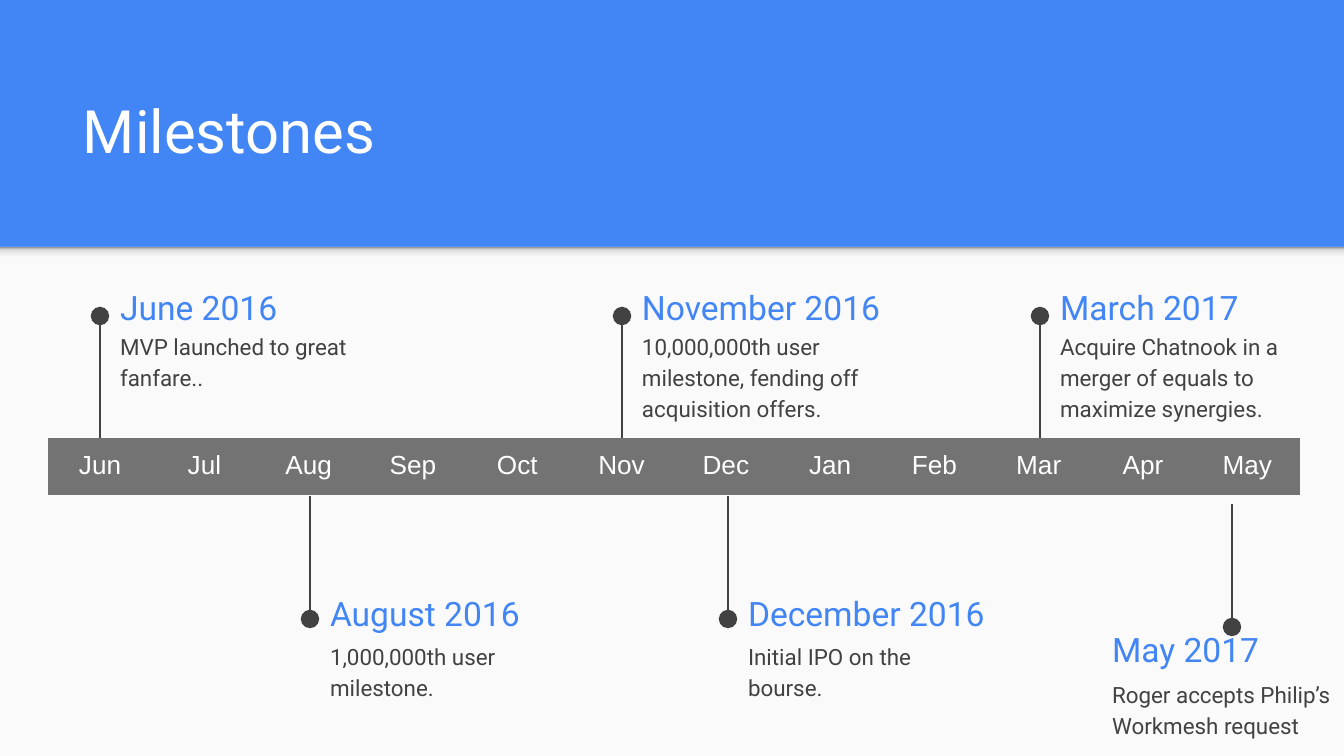
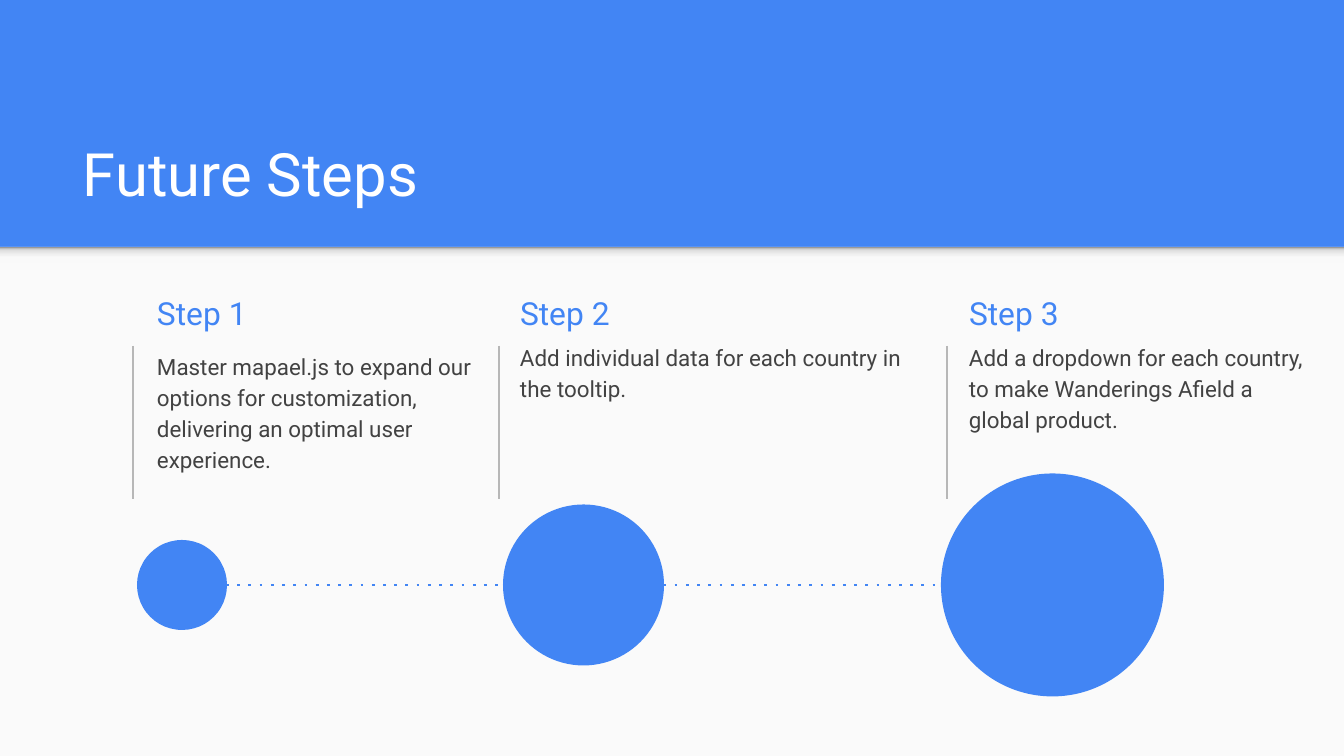
from dataclasses import dataclass

from lxml import etree
from pptx import Presentation
from pptx.dml.color import RGBColor
from pptx.enum.shapes import MSO_CONNECTOR, MSO_SHAPE
from pptx.enum.text import MSO_ANCHOR, PP_ALIGN
from pptx.oxml.ns import qn
from pptx.util import Emu, Pt

RECT, OVAL = MSO_SHAPE.RECTANGLE, MSO_SHAPE.OVAL
STRAIGHT = MSO_CONNECTOR.STRAIGHT
TOP, MIDDLE, BOTTOM = MSO_ANCHOR.TOP, MSO_ANCHOR.MIDDLE, MSO_ANCHOR.BOTTOM
CENTER = PP_ALIGN.CENTER
NO_GRID_STYLE = "{2D5ABB26-0587-4C30-8999-92F81FD0307C}"

SLIDE_W, SLIDE_H = 1344, 756
BAND_H = 247
INSET = 13
BAR_X, BAR_Y, BAR_W, BAR_H = 48, 438, 1252, 57
LABEL_W, HEADING_H, BODY_H = 266, 58, 85


@dataclass(frozen=True)
class Theme:
    blue: str = "4285F4"
    paper: str = "FAFAFA"
    white: str = "FFFFFF"
    ink: str = "424242"
    bar: str = "737373"
    rule: str = "B7B7B7"
    shade: tuple = ((0, "F9F9F9"), (36, "F9F9F9"), (80, "DEDEDE"), (100, "999999"))
    font: str = "Roboto"
    bar_font: str = "Arial"
    title: int = 32
    milestone: int = 18
    step: int = 17
    month: int = 14
    body: int = 12


T = Theme()
MONTHS = "Jun Jul Aug Sep Oct Nov Dec Jan Feb Mar Apr May".split()

# pin x, heading, body
ABOVE = [
    (100, "June 2016", "MVP launched to great fanfare.."),
    (622, "November 2016",
     "10,000,000th user milestone, fending off acquisition offers."),
    (1040, "March 2017",
     "Acquire Chatnook in a merger of equals to maximize synergies."),
]
BELOW = [
    (310, "August 2016", "1,000,000th user milestone."),
    (728, "December 2016", "Initial IPO on the bourse."),
]

# rule x, text x, body y, body width, body, circle x, circle diameter
STEPS = [
    (133, 144, 336, 344,
     "Master mapael.js to expand our options for customization, "
     "delivering an optimal user experience.", 137, 90),
    (499, 507, 327, 418,
     "Add individual data for each country in the tooltip.", 503, 161),
    (947, 956, 327, 367,
     "Add a dropdown for each country, to make Wanderings Afield "
     "a global product.", 941, 223),
]
CIRCLE_MID = 585


def px(n):
    return Emu(round(n * 914400 / 134.4))


def rgb(color):
    return RGBColor.from_string(color)


def set_font(p, size, color, name=T.font):
    p.font.name, p.font.size = name, Pt(size)
    p.font.color.rgb = rgb(color)


def set_margins(box):
    """Give a text frame or a table cell the same inset on all sides."""
    box.margin_left = box.margin_right = px(INSET)
    box.margin_top = box.margin_bottom = px(INSET)


def add_text(s, x, y, w, h, text, size, color, anchor=TOP, spacing=1.0):
    tf = s.shapes.add_textbox(px(x), px(y), px(w), px(h)).text_frame
    tf.word_wrap = True
    tf.vertical_anchor = anchor
    set_margins(tf)
    p = tf.paragraphs[0]
    p.text = text
    p.line_spacing = spacing
    set_font(p, size, color)


def add_heading(s, x, y, text, size):
    add_text(s, x, y, LABEL_W, HEADING_H, text, size, T.blue, MIDDLE)


def add_body(s, x, y, w, text):
    add_text(s, x, y, w, BODY_H, text, T.body, T.ink, spacing=1.15)


def add_filled(s, kind, x, y, w, h, color):
    sp = s.shapes.add_shape(kind, px(x), px(y), px(w), px(h))
    sp.shadow.inherit = False
    sp.fill.solid()
    sp.fill.fore_color.rgb = rgb(color)
    sp.line.fill.background()
    return sp


def add_line(s, x1, y1, x2, y2, color, width=0.75, **ends):
    """Draw a line; ends maps a line child (prstDash, tailEnd) to its attributes."""
    line = s.shapes.add_connector(STRAIGHT, px(x1), px(y1), px(x2), px(y2))
    line.line.color.rgb = rgb(color)
    line.line.width = Pt(width)
    ln = line.line._get_or_add_ln()
    for tag, attrs in ends.items():
        etree.SubElement(ln, qn(f"a:{tag}"), attrs)
    etree.SubElement(line._element.spPr, qn("a:effectLst"))


def add_shade(s):
    """Fade from the band's lower edge into the paper."""
    sp = add_filled(s, RECT, 0, BAND_H, SLIDE_W, 16, T.paper)
    sp.fill.gradient()
    sp.fill.gradient_angle = 90
    stops = sp._element.spPr.find(qn("a:gradFill")).find(qn("a:gsLst"))
    for stop in list(stops):
        stops.remove(stop)
    for pos, color in T.shade:
        stop = etree.SubElement(stops, qn("a:gs"), pos=str(pos * 1000))
        etree.SubElement(stop, qn("a:srgbClr"), val=color)


def add_slide(prs, title, title_y):
    s = prs.slides.add_slide(prs.slide_layouts[6])
    s.background.fill.solid()
    s.background.fill.fore_color.rgb = rgb(T.blue)
    add_filled(s, RECT, 0, BAND_H, SLIDE_W, SLIDE_H - BAND_H, T.paper)
    add_shade(s)
    add_text(s, 70, title_y, 1208, 113, title, T.title, T.white, BOTTOM)
    return s


def add_month_bar(s):
    frame = s.shapes.add_table(1, len(MONTHS), px(BAR_X), px(BAR_Y),
                               px(BAR_W), px(BAR_H))
    table = frame.table
    table.first_row = table.horz_banding = False
    table._tbl.tblPr.find(qn("a:tableStyleId")).text = NO_GRID_STYLE
    for cell, month in zip(table.rows[0].cells, MONTHS):
        cell.fill.solid()
        cell.fill.fore_color.rgb = rgb(T.bar)
        set_margins(cell)
        p = cell.text_frame.paragraphs[0]
        p.text = month
        p.alignment = CENTER
        set_font(p, T.month, T.white, T.bar_font)


def add_milestone(s, x, start, end, text_x, heading_y, body_y, heading, body):
    add_line(s, x, start, x, end, T.ink,
             tailEnd={"type": "oval", "w": "lg", "len": "lg"})
    add_heading(s, text_x, heading_y, heading, T.milestone)
    add_body(s, text_x, body_y, LABEL_W, body)


def build_milestones(prs):
    s = add_slide(prs, "Milestones", 66)
    for x, heading, body in ABOVE:
        add_milestone(s, x, BAR_Y, 316, x + 7, 278, 316, heading, body)
    for x, heading, body in BELOW:
        add_milestone(s, x, 496, 619, x + 7, 584, 626, heading, body)
    add_month_bar(s)
    add_milestone(s, 1232, 504, 627, 1099, 620, 664, "May 2017",
                  "Roger accepts Philip’s Workmesh request")


def build_steps(prs):
    s = add_slide(prs, "Future Steps", 109)
    add_line(s, 226, CIRCLE_MID, 941, CIRCLE_MID, T.blue, 1.5,
             prstDash={"val": "dot"})
    for n, (rule_x, x, body_y, w, body, circle_x, d) in enumerate(STEPS, 1):
        add_line(s, rule_x, 346, rule_x, 499, T.rule)
        add_heading(s, x, 284, f"Step {n}", T.step)
        add_body(s, x, body_y, w, body)
        add_filled(s, OVAL, circle_x, CIRCLE_MID - d / 2, d, d, T.blue)


def main():
    prs = Presentation()
    prs.slide_width, prs.slide_height = px(SLIDE_W), px(SLIDE_H)
    build_milestones(prs)
    build_steps(prs)
    prs.save("out.pptx")


if __name__ == "__main__":
    main()
